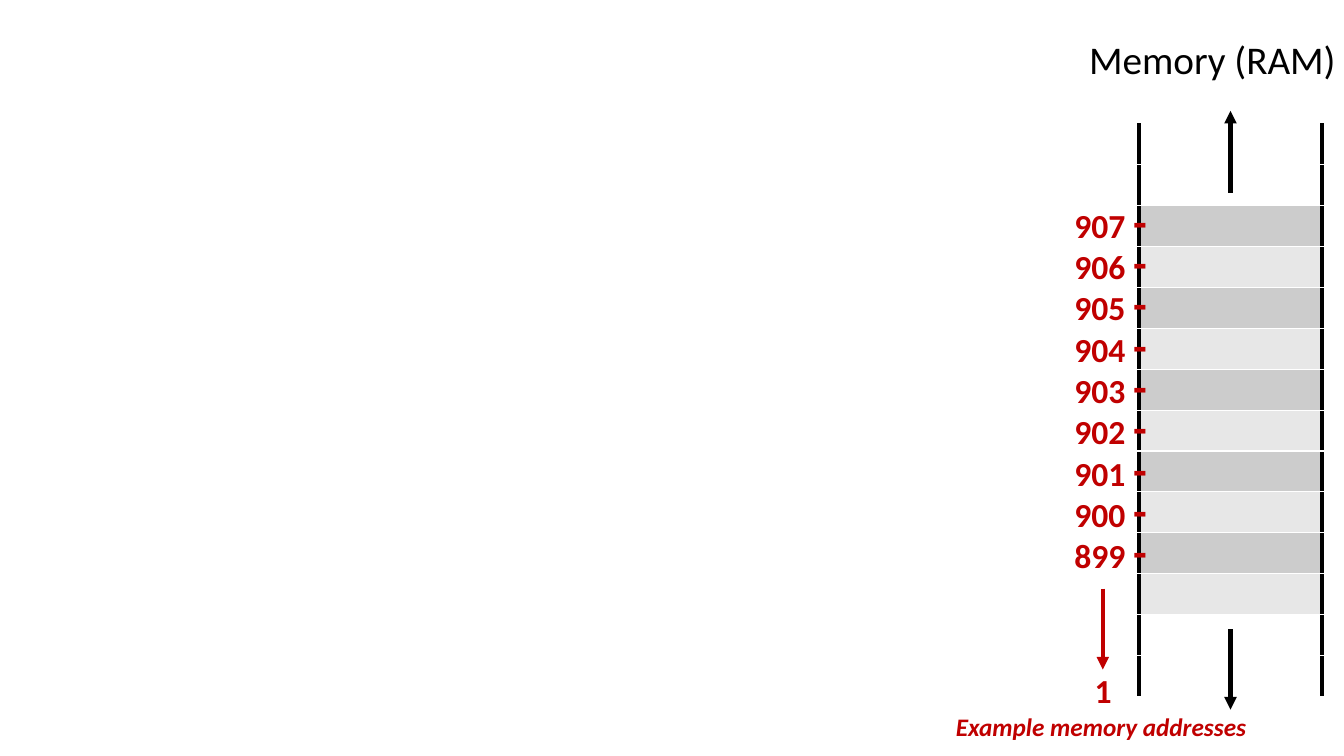
from lxml.etree import SubElement
from pptx import Presentation
from pptx.dml.color import RGBColor
from pptx.enum.shapes import MSO_CONNECTOR
from pptx.enum.text import MSO_ANCHOR, MSO_AUTO_SIZE, PP_ALIGN
from pptx.oxml.ns import qn
from pptx.util import Inches, Pt

BLACK, WHITE, RED = "000000", "FFFFFF", "C00000"
DARK_CELL, LIGHT_CELL = "CCCCCC", "E7E7E7"
CELLS = 14


def color(hex_string):
    return RGBColor.from_string(hex_string)


class MemorySlide:
    """Grid whose origin and unit are the memory column and one of its cells."""
    font = "Calibri"
    left, top = 11.3, 1.23
    column, row = 1.81, 5.68 / CELLS

    def __init__(self, presentation):
        self.slide = presentation.slides.add_slide(presentation.slide_layouts[5])

    def x(self, columns):
        return Inches(self.left + columns * self.column)

    def y(self, rows):
        return Inches(self.top + rows * self.row)

    def box(self, col, row, width, height):
        return (self.x(col), self.y(row),
                Inches(width * self.column), Inches(height * self.row))

    def fill_text(self, holder, pieces, ink, bold=False, italic=False):
        frame = holder.text_frame
        frame.word_wrap = False
        frame.auto_size = MSO_AUTO_SIZE.SHAPE_TO_FIT_TEXT
        frame.vertical_anchor = MSO_ANCHOR.TOP
        line = frame.paragraphs[0]
        line.alignment = PP_ALIGN.LEFT
        for words, size in pieces:
            run = line.add_run()
            run.text = words
            run.font.name, run.font.size = self.font, Pt(size)
            run.font.bold, run.font.italic = bold, italic
            run.font.color.rgb = color(ink)

    def title(self, words, size, *place):
        heading = self.slide.shapes.title
        heading.left, heading.top, heading.width, heading.height = self.box(*place)
        self.fill_text(heading, [(words, size)], BLACK)

    def label(self, pieces, *place, italic=False):
        holder = self.slide.shapes.add_textbox(*self.box(*place))
        self.fill_text(holder, pieces, RED, bold=True, italic=italic)

    def arrow(self, col, start, end, ink=BLACK):
        shaft = self.slide.shapes.add_connector(
            MSO_CONNECTOR.STRAIGHT, self.x(col), self.y(start), self.x(col), self.y(end))
        shaft.line.color.rgb, shaft.line.width = color(ink), Pt(3)
        properties = shaft._element.spPr
        SubElement(properties.find(qn("a:ln")), qn("a:tailEnd"), type="triangle")
        SubElement(properties, qn("a:effectLst"))

    def border(self, cell, side, ink, width):
        edge = SubElement(cell._tc.get_or_add_tcPr(), qn(f"a:ln{side}"), w=str(Pt(width)))
        SubElement(SubElement(edge, qn("a:solidFill")), qn("a:srgbClr"), val=ink)

    def memory(self, fills):
        table = self.slide.shapes.add_table(
            len(fills), 1, *self.box(0, 0, 1, len(fills))).table
        for index, fill in enumerate(fills):
            table.rows[index].height = Inches(self.row)
            cell = table.cell(index, 0)
            cell.text_frame.paragraphs[0].font.size = Pt(16)
            for side, ink, width in (("L", BLACK, 3), ("R", BLACK, 3),
                                     ("T", WHITE, 1), ("B", WHITE, 1)):
                self.border(cell, side, ink, width)
            cell.fill.solid()
            cell.fill.fore_color.rgb = color(fill)


def main():
    presentation = Presentation()
    presentation.slide_width, presentation.slide_height = Inches(13.33), Inches(7.5)
    page = MemorySlide(presentation)

    # Memory column, continuing beyond both ends
    page.title("Memory (RAM)", 28, -0.33, -2.29, 1.48, 1.4)
    page.memory([WHITE] * 2 + [DARK_CELL, LIGHT_CELL] * 5 + [WHITE] * 2)
    page.arrow(0.5, 1.68, -0.32)
    page.arrow(0.5, 12.35, 14.32)

    # Addresses, counting down to 1
    for step, address in enumerate(range(907, 898, -1)):
        page.label([(f"{address} ", 24), ("-", 32)],
                   -0.41, 1.58 + 1.01 * step, 0.51, 1.58)
    page.arrow(-0.2, 11.36, 13.34, RED)
    page.label([("1", 24)], -0.3, 13.24, 0.2, 1.23)
    page.label([("Example memory addresses", 18)], -1.06, 14.25, 1.72, 1, italic=True)

    presentation.save("out.pptx")


if __name__ == "__main__":
    main()
